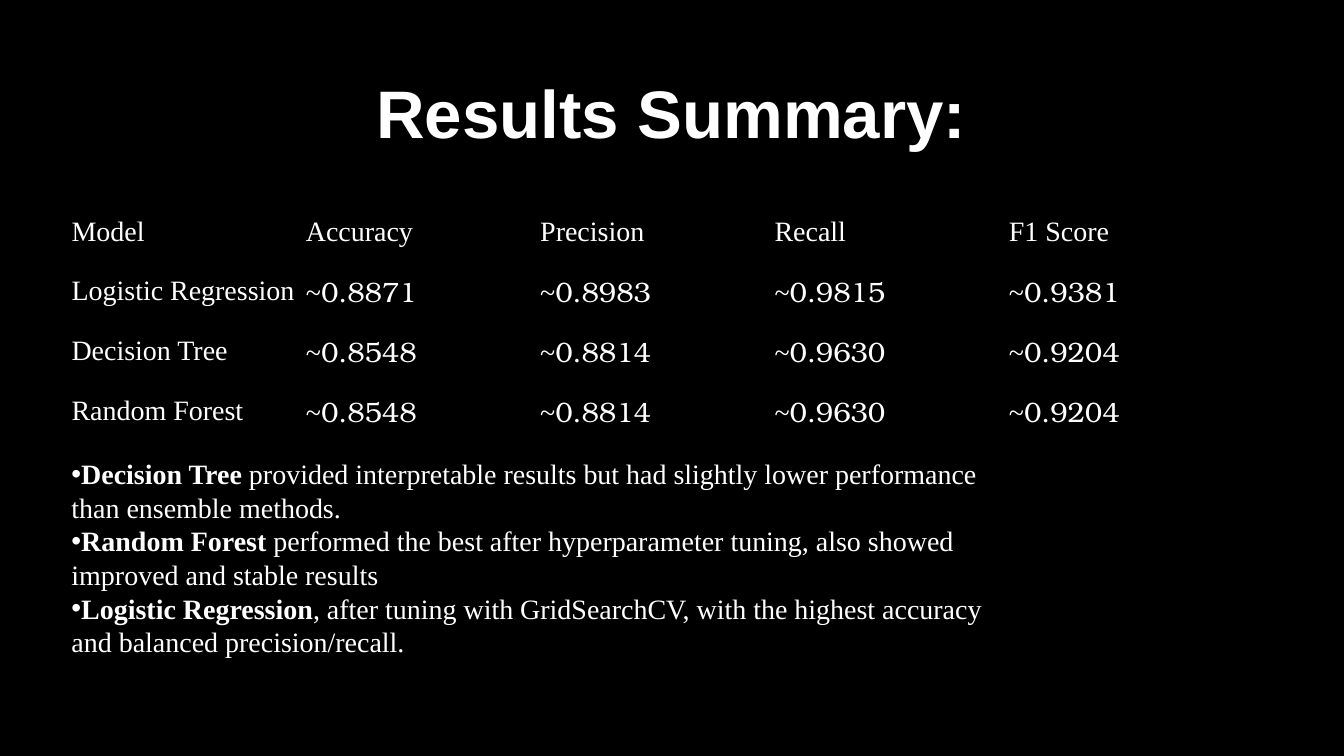
from lxml.etree import SubElement
from pptx import Presentation
from pptx.dml.color import RGBColor
from pptx.enum.text import MSO_ANCHOR, MSO_AUTO_SIZE, PP_ALIGN
from pptx.oxml.ns import qn
from pptx.util import Inches, Pt

WIDE, HIGH = 26.67, 15
SERIF, DIGIT = "Times New Roman", "TeX Gyre Bonum"
NO_GRID = "{2D5ABB26-0587-4C30-8999-92F81FD0307C}"

HEADS = ["Model", "Accuracy", "Precision", "Recall", "F1 Score"]
SCORES = [
    ("Logistic Regression", "0.8871", "0.8983", "0.9815", "0.9381"),
    ("Decision Tree", "0.8548", "0.8814", "0.9630", "0.9204"),
    ("Random Forest", "0.8548", "0.8814", "0.9630", "0.9204"),
]
NOTES = [
    ("Decision Tree", " provided interpretable results but had slightly lower"
     " performance than ensemble methods."),
    ("Random Forest", " performed the best after hyperparameter tuning,"
     " also showed improved and stable results"),
    ("Logistic Regression", ", after tuning with GridSearchCV, with the highest"
     " accuracy and balanced precision/recall."),
]


def tint(code):
    return RGBColor.from_string(code)


class Deck:
    ink, paper, size = "FFFFFF", "000000", 40
    left, col, row = 1.32, 4.65, 1.19

    def __init__(self):
        self.file = Presentation()
        self.file.slide_width = Inches(WIDE)
        self.file.slide_height = Inches(HIGH)
        self.slide = self.file.slides.add_slide(self.file.slide_layouts[5])
        fill = self.slide.background.fill
        fill.solid()
        fill.fore_color.rgb = tint(self.paper)

    def style(self, font, name=SERIF, size=None):
        font.name, font.size = name, Pt(size or self.size)
        font.color.rgb = tint(self.ink)

    def title(self, text, left, top, width, height):
        box = self.slide.shapes.title
        box.left, box.top = Inches(left), Inches(top)
        box.width, box.height = Inches(width), Inches(height)
        frame = box.text_frame
        frame.text = text
        frame.auto_size = MSO_AUTO_SIZE.NONE
        frame.vertical_anchor = MSO_ANCHOR.TOP
        frame.margin_top = Inches(0.26)
        para = frame.paragraphs[0]
        para.alignment, para.line_spacing = PP_ALIGN.CENTER, 0.9
        self.style(para.font, "Arial", 96)
        para.font.bold = True

    def grid(self, top, heads, lines):
        rows, cols = len(lines) + 1, len(heads)
        table = self.slide.shapes.add_table(
            rows, cols, Inches(self.left), Inches(top),
            Inches(cols * self.col), Inches(rows * self.row)).table
        table.first_row = table.horz_banding = False
        table._tbl.tblPr.find(qn("a:tableStyleId")).text = NO_GRID
        for line in table.rows:
            line.height = Inches(self.row)
        for r, line in enumerate([heads, *lines]):
            for c, text in enumerate(line):
                cell = table.cell(r, c)
                cell.fill.background()
                cell.vertical_anchor = MSO_ANCHOR.MIDDLE
                para = cell.text_frame.paragraphs[0]
                # Scores carry a tilde in the text font
                parts = [("~", SERIF), (text, DIGIT)] if r and c else [(text, SERIF)]
                for part, name in parts:
                    run = para.add_run()
                    run.text = part
                    self.style(run.font, name)

    def points(self, top, width, height, items):
        frame = self.slide.shapes.add_textbox(
            Inches(self.left), Inches(top), Inches(width), Inches(height)).text_frame
        frame.word_wrap = True
        frame.auto_size = MSO_AUTO_SIZE.SHAPE_TO_FIT_TEXT
        frame.vertical_anchor = MSO_ANCHOR.MIDDLE
        for i, item in enumerate(items):
            para = frame.add_paragraph() if i else frame.paragraphs[0]
            props = para._p.get_or_add_pPr()
            SubElement(props, qn("a:buFont"), typeface="Arial")
            SubElement(props, qn("a:buChar"), char="•")
            for text, bold in zip(item, (True, False)):
                run = para.add_run()
                run.text = text
                self.style(run.font)
                run.font.bold = bold


def main():
    deck = Deck()
    # Heading
    deck.title("Results Summary:", 2, 1.33, 22.65, 2.9)
    # Scores by model
    deck.grid(4, HEADS, SCORES)
    # Findings
    deck.points(8.99, 18.67, 4.14, NOTES)
    deck.file.save("out.pptx")


if __name__ == "__main__":
    main()
